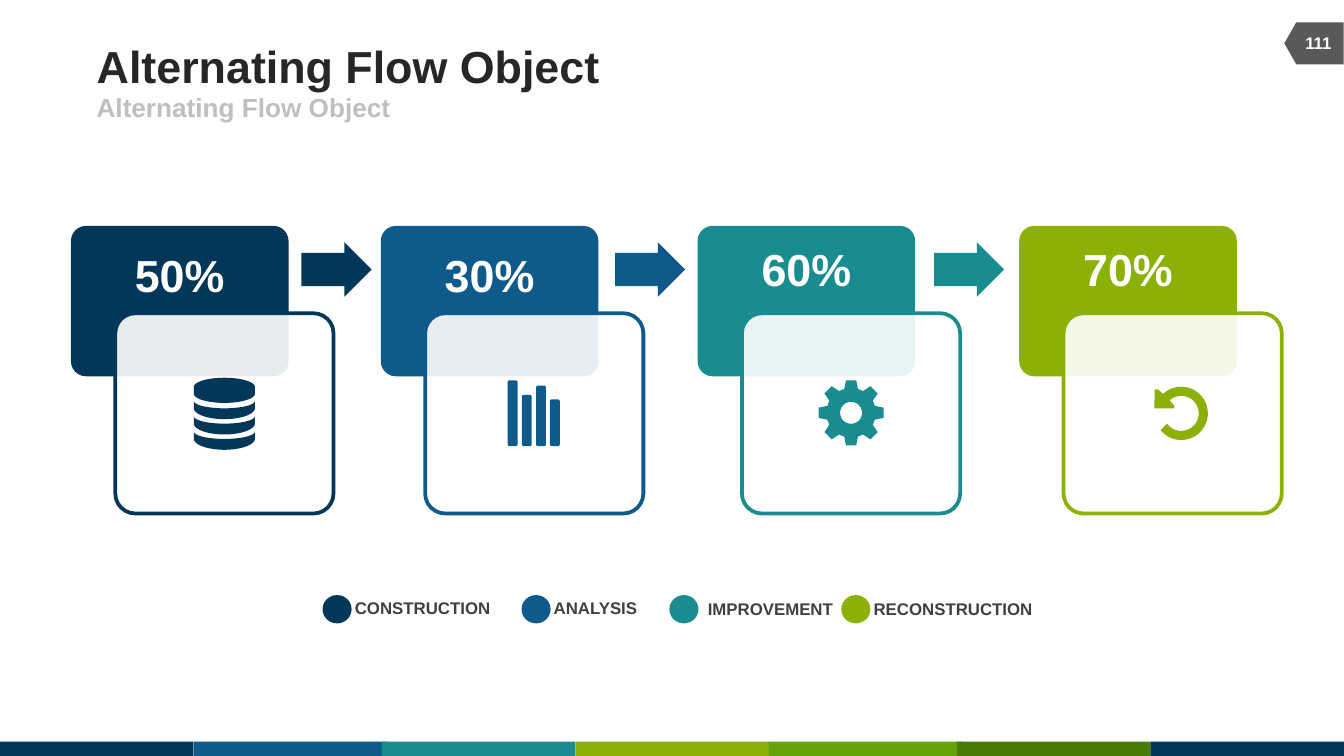
"""Build the Alternating Flow Object slide."""
from math import cos, radians, sin

from lxml.etree import SubElement
from pptx import Presentation
from pptx.dml.color import RGBColor
from pptx.enum.shapes import MSO_SHAPE as Shape
from pptx.enum.text import MSO_ANCHOR as Anchor, PP_ALIGN as Align
from pptx.oxml.ns import qn
from pptx.util import Pt

NAVY, BLUE, TEAL, LIME = "023759", "0E5A8B", "198C8F", "8BB106"
WHITE = "FFFFFF"
TITLE = "Alternating Flow Object"
PAGE_NUMBER = "111"
STEPS = [
    {"color": NAVY, "left": 38, "arrow": 161.5, "percent": "50%", "percent_top": 132.5},
    {"color": BLUE, "left": 204, "arrow": 329.5, "percent": "30%", "percent_top": 132.5},
    {"color": TEAL, "left": 373.7, "arrow": 500.4, "percent": "60%", "percent_top": 129.6},
    {"color": LIME, "left": 546, "percent": "70%", "percent_top": 129.6},
]
LEGEND = [
    ("CONSTRUCTION", NAVY, 172.8, 190.1, 73.4, 320.4),
    ("ANALYSIS", BLUE, 279.4, 296.6, 46, 320.4),
    ("IMPROVEMENT", TEAL, 358.6, 379.2, 67.7, 321),
    ("RECONSTRUCTION", LIME, 450.7, 468, 85.7, 321),
]
FOOTER = [(0, NAVY), (103.7, BLUE), (204.5, TEAL), (308.2, LIME),
          (411.8, "63A406"), (512.6, "4A7B04"), (616.3, NAVY)]
BARS = [(272, 203.8), (279.6, 211.6), (287.2, 206.6), (294.6, 214)]
BAR_WIDTH, BAR_BOTTOM = 5.3, 239

presentation = Presentation()
presentation.slide_width, presentation.slide_height = Pt(720), Pt(405)
slide = presentation.slides.add_slide(presentation.slide_layouts[6])


def rgb(color):
    """Return a colour object for a hex string."""
    return RGBColor.from_string(color)


def paint(shape, fill, line=None, opacity=None):
    """Set the fill, outline and opacity of a shape."""
    shape.shadow.inherit = False
    shape.fill.solid()
    shape.fill.fore_color.rgb = rgb(fill)
    if opacity:
        color = shape.element.spPr.find(qn("a:solidFill"))[0]
        SubElement(color, qn("a:alpha")).set("val", str(opacity * 1000))
    if line:
        shape.line.color.rgb = rgb(line)
        shape.line.width = Pt(2)
    else:
        shape.line.fill.background()
    return shape


def add_shape(kind, left, top, width, height, fill, adjust=(), **style):
    """Add a painted preset shape."""
    shape = slide.shapes.add_shape(kind, Pt(left), Pt(top), Pt(width), Pt(height))
    for index, value in enumerate(adjust):
        shape.adjustments[index] = value
    return paint(shape, fill, **style)


def add_text(text, left, top, width, height, size, color,
             align=Align.LEFT, anchor=Anchor.MIDDLE, wrap=False):
    """Add a bold one-line text box without margins."""
    frame = slide.shapes.add_textbox(Pt(left), Pt(top), Pt(width), Pt(height)).text_frame
    frame.margin_left = frame.margin_right = frame.margin_top = frame.margin_bottom = 0
    frame.word_wrap, frame.vertical_anchor = wrap, anchor
    paragraph = frame.paragraphs[0]
    paragraph.alignment = align
    run = paragraph.add_run()
    run.text = text
    run.font.name, run.font.size, run.font.bold = "Arial", Pt(size), True
    run.font.color.rgb = rgb(color)


def arc(x, y, radius_x, radius_y, start, end, steps=24):
    """Return points along an elliptical arc, in degrees."""
    angles = [radians(start + (end - start) * i / steps) for i in range(steps + 1)]
    return [(x + radius_x * cos(a), y + radius_y * sin(a)) for a in angles]


def add_icon(contours, color):
    """Add one filled freeform made of closed contours."""
    contours = [[(Pt(x), Pt(y)) for x, y in contour] for contour in contours]
    builder = slide.shapes.build_freeform(*contours[0][0])
    for index, contour in enumerate(contours):
        if index:
            builder.move_to(*contour[0])
        builder.add_line_segments(contour[1:], close=True)
    paint(builder.convert_to_shape(), color)


def database_icon(x=120.2, radius=16.4):
    """Return a disc lid over three curved bands."""
    lid = arc(x, 207.4, radius, 5, 180, 360) + arc(x, 210.9, radius, 5, 0, 180)
    bands = [arc(x, top, radius, 4, 180, 0) + arc(x, top + 3.8, radius, 6, 0, 180)
             for top in (214.8, 223, 231.2)]
    return [lid] + bands


def bar_icon(radius=1):
    """Return four bars with rounded corners."""
    contours = []
    for left, top in BARS:
        x1, x2 = left + radius, left + BAR_WIDTH - radius
        y1, y2 = top + radius, BAR_BOTTOM - radius
        corners = [(x1, y1, 180), (x2, y1, 270), (x2, y2, 0), (x1, y2, 90)]
        contours.append([point for x, y, start in corners
                         for point in arc(x, y, radius, radius, start, start + 90, 4)])
    return contours


def gear_icon(x=456, y=221.2):
    """Return an eight-toothed wheel with a round hole."""
    tooth = [(-16, 13.3), (-9, 17.6), (9, 17.6), (16, 13.3)]
    wheel = [(x + radius * cos(radians(turn + angle)), y + radius * sin(radians(turn + angle)))
             for turn in range(0, 360, 45) for angle, radius in tooth]
    return [wheel, arc(x, y, 5.9, 5.9, 360, 0)]


def undo_icon(x=632.8, y=221.5):
    """Return an open ring that ends in an arrowhead."""
    head = [(-12.4, -12.8), (-14.2, -12.8), (-14.4, -2.7), (-3.8, -2.7), (-3.6, -4)]
    return [arc(x, y, 14.3, 14.3, 141, -133) + [(x + dx, y + dy) for dx, dy in head]
            + arc(x, y, 9.4, 9.4, -132, 144)]


for left, color in FOOTER:
    add_shape(Shape.RECTANGLE, left, 397.4, 103.7, 7.6, color)
page_tag = add_shape(Shape.FLOWCHART_OFFPAGE_CONNECTOR, 692.7, 7.3, 22.5, 31.8, "595959")
page_tag.rotation = 90
add_text(PAGE_NUMBER, 691.2, 12.2, 30.2, 21.6, 9, WHITE, align=Align.CENTER)
add_text(TITLE, 51.8, 21, 444, 28, 24, "262626", wrap=True)
add_text(TITLE, 51.8, 49.2, 324, 16, 14, "BFBFBF", wrap=True)

icons = [database_icon(), bar_icon(), gear_icon(), undo_icon()]
for step, icon in zip(STEPS, icons):
    left, color = step["left"], step["color"]
    add_shape(Shape.ROUNDED_RECTANGLE, left, 121, 116.6, 80.6, color, adjust=[0.1])
    add_shape(Shape.ROUNDED_RECTANGLE, left + 23.8, 167.8, 116.9, 107.3, WHITE,
              adjust=[0.1], line=color, opacity=90)
    if "arrow" in step:
        add_shape(Shape.RIGHT_ARROW, step["arrow"], 129.8, 37.6, 29.2, color,
                  adjust=[0.61, 0.5])
    add_icon(icon, color)
    add_text(step["percent"], left + 34.2, step["percent_top"], 48.2, 28.8, 24, WHITE,
             align=Align.CENTER, anchor=Anchor.BOTTOM)

for label, color, dot_left, text_left, width, top in LEGEND:
    add_shape(Shape.OVAL, dot_left, 318.8, 15.6, 15.2, color)
    add_text(label, text_left, top, width, 10.8, 9, "404040", anchor=Anchor.TOP)

presentation.save("out.pptx")
